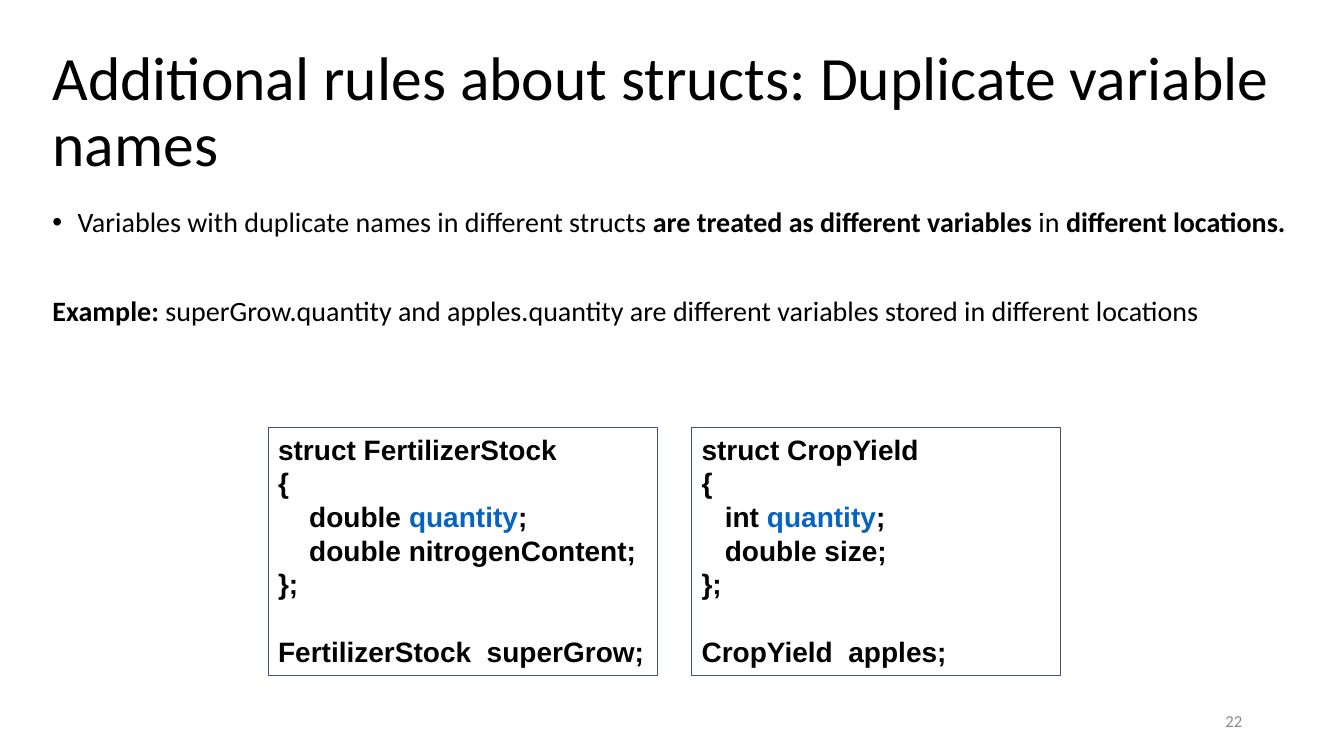
from lxml.etree import SubElement
from pptx import Presentation
from pptx.dml.color import RGBColor
from pptx.enum.shapes import MSO_SHAPE
from pptx.enum.text import MSO_ANCHOR, MSO_AUTO_SIZE, PP_ALIGN
from pptx.oxml.ns import qn
from pptx.util import Inches, Pt

BLACK, BLUE, SLATE, GREY = "000000", "0563C1", "44546A", "8C8C8C"


def color(code):
    return RGBColor.from_string(code)


def style(font, name, size, code=BLACK, bold=None):
    font.name, font.size, font.bold = name, Pt(size), bold
    font.color.rgb = color(code)


def place(shape, left, top, width, height):
    shape.left, shape.top = Inches(left), Inches(top)
    shape.width, shape.height = Inches(width), Inches(height)


def set_bullet(para, char=None):
    props = para._p.get_or_add_pPr()
    indent = Inches(0.25) if char else 0
    props.set("marL", str(indent))
    props.set("indent", str(-indent))
    if char:
        SubElement(props, qn("a:buFont"), typeface="Arial")
        SubElement(props, qn("a:buChar"), char=char)
    else:
        SubElement(props, qn("a:buNone"))


def add_title(slide, text):
    title = slide.shapes.title
    place(title, 0.42, 0.4, 12.5, 1.45)
    frame = title.text_frame
    frame.text = text
    frame.auto_size = MSO_AUTO_SIZE.NONE
    frame.vertical_anchor = MSO_ANCHOR.MIDDLE
    para = frame.paragraphs[0]
    para.alignment, para.line_spacing = PP_ALIGN.LEFT, 0.9
    style(para.font, "Calibri", 44)


def add_body(slide, items):
    """Each item is a bullet, a space before and (text, bold) parts."""
    body = slide.placeholders[1]
    place(body, 0.42, 2.02, 12.5, 4.76)
    frame = body.text_frame
    frame.auto_size = MSO_AUTO_SIZE.NONE
    for i, (char, gap, parts) in enumerate(items):
        para = frame.add_paragraph() if i else frame.paragraphs[0]
        para.line_spacing, para.space_before = 0.9, Pt(gap)
        set_bullet(para, char)
        style(para.font, "Calibri", 20)
        for text, bold in parts:
            run = para.add_run()
            run.text, run.font.bold = text, bold


def add_code(slide, left, width, lines, wrap):
    box = slide.shapes.add_shape(
        MSO_SHAPE.RECTANGLE, Inches(left), Inches(4.24), Inches(width), Inches(2.46))
    box.shadow.inherit = False
    box.fill.background()
    box.line.color.rgb = color(SLATE)
    box.line.width = Pt(0.75)
    frame = box.text_frame
    frame.word_wrap = wrap
    frame.vertical_anchor = MSO_ANCHOR.TOP
    for i, line in enumerate(lines):
        para = frame.add_paragraph() if i else frame.paragraphs[0]
        para.alignment, para.line_spacing = PP_ALIGN.LEFT, Pt(24)
        # The declaration stands one line below the struct
        para.space_before = Pt(24 if i == len(lines) - 1 else 0)
        style(para.font, "Arial", 20, BLACK, True)
        before, word, after = line.partition("quantity")
        for text, code in ((before, BLACK), (word, BLUE), (after, BLACK)):
            if text:
                run = para.add_run()
                run.text = text
                style(run.font, "Arial", 20, code, True)


def add_number(slide, text):
    box = slide.shapes.add_textbox(Inches(9.42), Inches(6.95), Inches(3), Inches(0.4))
    frame = box.text_frame
    frame.text = text
    frame.word_wrap = True
    frame.vertical_anchor = MSO_ANCHOR.MIDDLE
    para = frame.paragraphs[0]
    para.alignment = PP_ALIGN.RIGHT
    style(para.font, "Calibri", 12, GREY)


def main():
    deck = Presentation()
    deck.slide_width, deck.slide_height = Inches(13.33), Inches(7.5)
    slide = deck.slides.add_slide(deck.slide_layouts[1])

    # Title and rule
    add_title(slide, "Additional rules about structs: Duplicate variable names")
    add_body(slide, [
        ("•", 0, [("Variables with duplicate names in different structs ", False),
                  ("are treated as different variables ", True),
                  ("in ", False), ("different locations.", True)]),
        (None, 42, [("Example: ", True),
                    ("superGrow.quantity and apples.quantity are different "
                     "variables stored in different locations", False)]),
    ])

    # The two structs
    add_code(slide, 2.66, 3.86, [
        "struct FertilizerStock", "{", "    double quantity;",
        "    double nitrogenContent;", "};", "FertilizerStock  superGrow;"], False)
    add_code(slide, 6.86, 3.66, [
        "struct CropYield", "{", "   int quantity;",
        "   double size;", "};", "CropYield  apples;"], True)

    # Page number
    add_number(slide, "22")
    deck.save("out.pptx")


if __name__ == "__main__":
    main()
